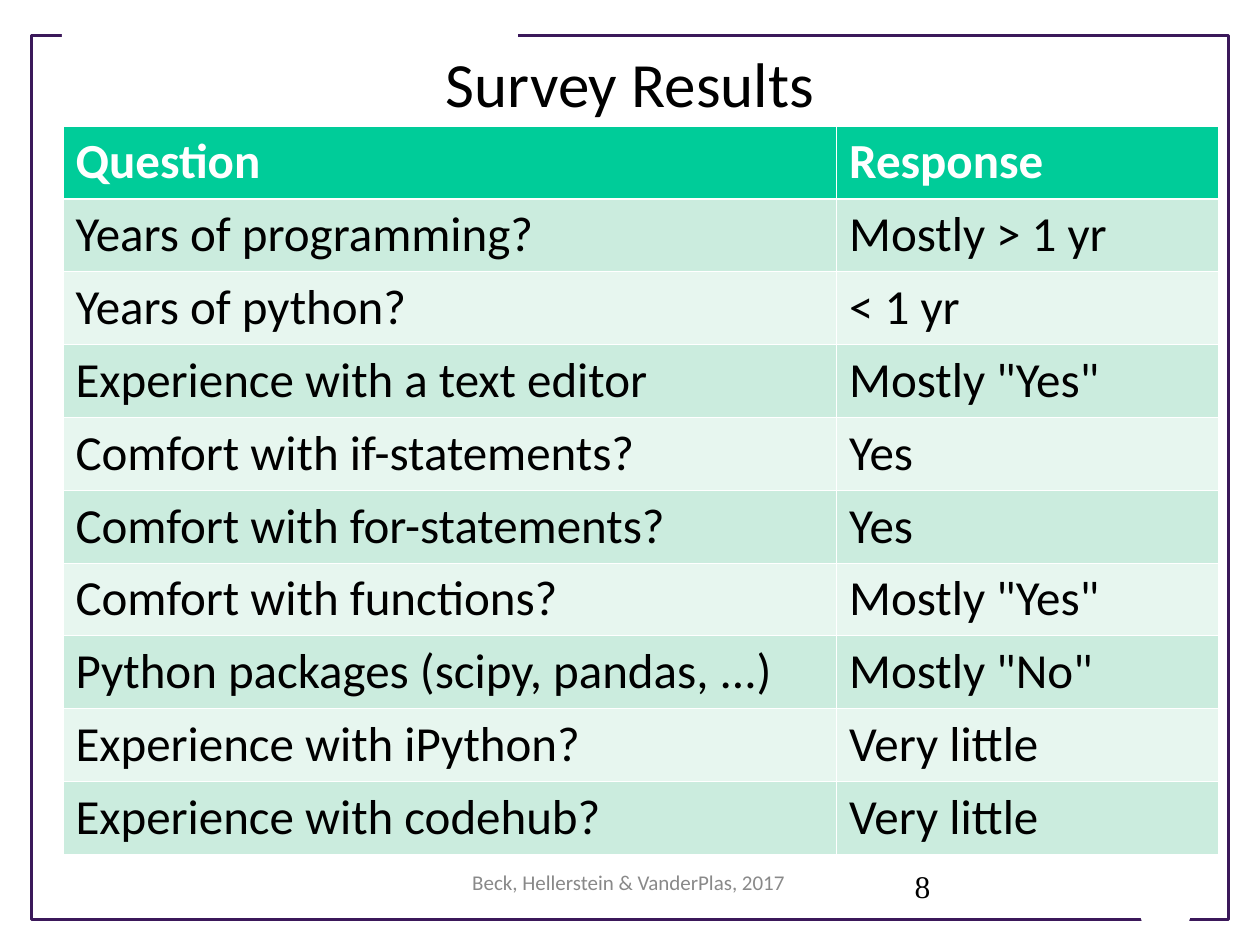
import pptx
import pptx.dml.color
import pptx.enum.shapes
import pptx.enum.text
import pptx.oxml.ns
import pptx.util
from lxml import etree
from pptx.util import Inches

ALIGN = pptx.enum.text.PP_ALIGN
WHITE = "FFFFFF"
BLACK = "000000"
HEADER_FILL = "00CC99"
BAND_FILLS = ("CBECDE", "E7F6EF")
ROWS = [
    ("Question", "Response"),
    ("Years of programming?", "Mostly > 1 yr"),
    ("Years of python?", "< 1 yr"),
    ("Experience with a text editor", 'Mostly "Yes"'),
    ("Comfort with if-statements?", "Yes"),
    ("Comfort with for-statements?", "Yes"),
    ("Comfort with functions?", 'Mostly "Yes"'),
    ("Python packages (scipy, pandas, ...)", 'Mostly "No"'),
    ("Experience with iPython?", "Very little"),
    ("Experience with codehub?", "Very little"),
]


def rgb(value):
    return pptx.dml.color.RGBColor.from_string(value)


def set_fill(obj, color):
    obj.fill.solid()
    obj.fill.fore_color.rgb = rgb(color)


def set_text(tf, text, size, color, font="Calibri", bold=False, align=ALIGN.LEFT):
    tf.text = text
    p = tf.paragraphs[0]
    p.alignment = align
    f = p.runs[0].font
    f.size, f.name, f.bold = pptx.util.Pt(size), font, bold
    f.color.rgb = rgb(color)


def add_text(slide, box, text, size, color, **style):
    tf = slide.shapes.add_textbox(*map(Inches, box)).text_frame
    tf.word_wrap = True
    set_text(tf, text, size, color, **style)


def add_frame(slide, box):
    """Purple outline with a gap in the top and the bottom edge."""
    left, top, width, height = box
    right, bottom = left + width, top + height
    rect = pptx.enum.shapes.MSO_SHAPE.RECTANGLE

    sp = slide.shapes.add_shape(rect, *map(Inches, box))
    sp.shadow.inherit = False
    sp.fill.background()
    sp.line.color.rgb = rgb("3B185A")
    sp.line.width = pptx.util.Pt(1.75)

    top_gap = slide.shapes.add_shape(
        rect, Inches(left + 0.24), Inches(top - 0.11), Inches(3.62), Inches(0.24))

    # Tapered gap near the bottom right corner
    x1, x2 = right - 0.78, right - 0.22
    y1, y2 = bottom - 0.32, bottom + 0.04
    fb = slide.shapes.build_freeform(Inches(x1), Inches(y1))
    corners = [(x1 + 0.1, y2), (x2 - 0.1, y2), (x2, y1)]
    fb.add_line_segments([(Inches(x), Inches(y)) for x, y in corners], close=True)

    for gap in (top_gap, fb.convert_to_shape()):
        gap.shadow.inherit = False
        set_fill(gap, WHITE)
        gap.line.fill.background()


def set_border(cell, side, width):
    tc_pr = cell._tc.get_or_add_tcPr()
    qn = pptx.oxml.ns.qn
    ln = etree.SubElement(tc_pr, qn(f"a:ln{side}"), w=str(pptx.util.Pt(width)))
    solid = etree.SubElement(ln, qn("a:solidFill"))
    etree.SubElement(solid, qn("a:srgbClr"), val=WHITE)


def add_survey_table(slide, box):
    left, top, width, height = box
    table = slide.shapes.add_table(len(ROWS), 2, *map(Inches, box)).table
    question_width = 6.14
    table.columns[0].width = Inches(question_width)
    table.columns[1].width = Inches(width - question_width)

    for i, row in enumerate(ROWS):
        header = i == 0
        table.rows[i].height = Inches(height / len(ROWS))
        for j, text in enumerate(row):
            cell = table.cell(i, j)
            # The rule under the header is heavier than the others
            for side in "LRTB":
                heavy = (i, side) in ((0, "B"), (1, "T"))
                set_border(cell, side, 1.5 if heavy else 0.45)
            set_fill(cell, HEADER_FILL if header else BAND_FILLS[(i - 1) % 2])
            set_text(cell.text_frame, text, 28, WHITE if header else BLACK, bold=header)


def main():
    prs = pptx.Presentation()
    prs.slide_width, prs.slide_height = Inches(10), Inches(7.5)
    slide = prs.slides.add_slide(prs.slide_layouts[6])

    add_frame(slide, (0.25, 0.28, 9.5, 7.02))
    add_text(slide, (0.5, 0.3, 9, 1.25), "Survey Results", 36, BLACK, align=ALIGN.CENTER)
    add_survey_table(slide, (0.5, 1, 9.17, 5.78))

    # Footer and slide number
    add_text(slide, (3.41, 6.85, 3.16, 0.4), "Beck, Hellerstein & VanderPlas, 2017",
             12, "898989", align=ALIGN.CENTER)
    add_text(slide, (7.16, 6.83, 1.51, 0.4), "8", 18, BLACK, font="Times New Roman")

    prs.save("out.pptx")


if __name__ == "__main__":
    main()
